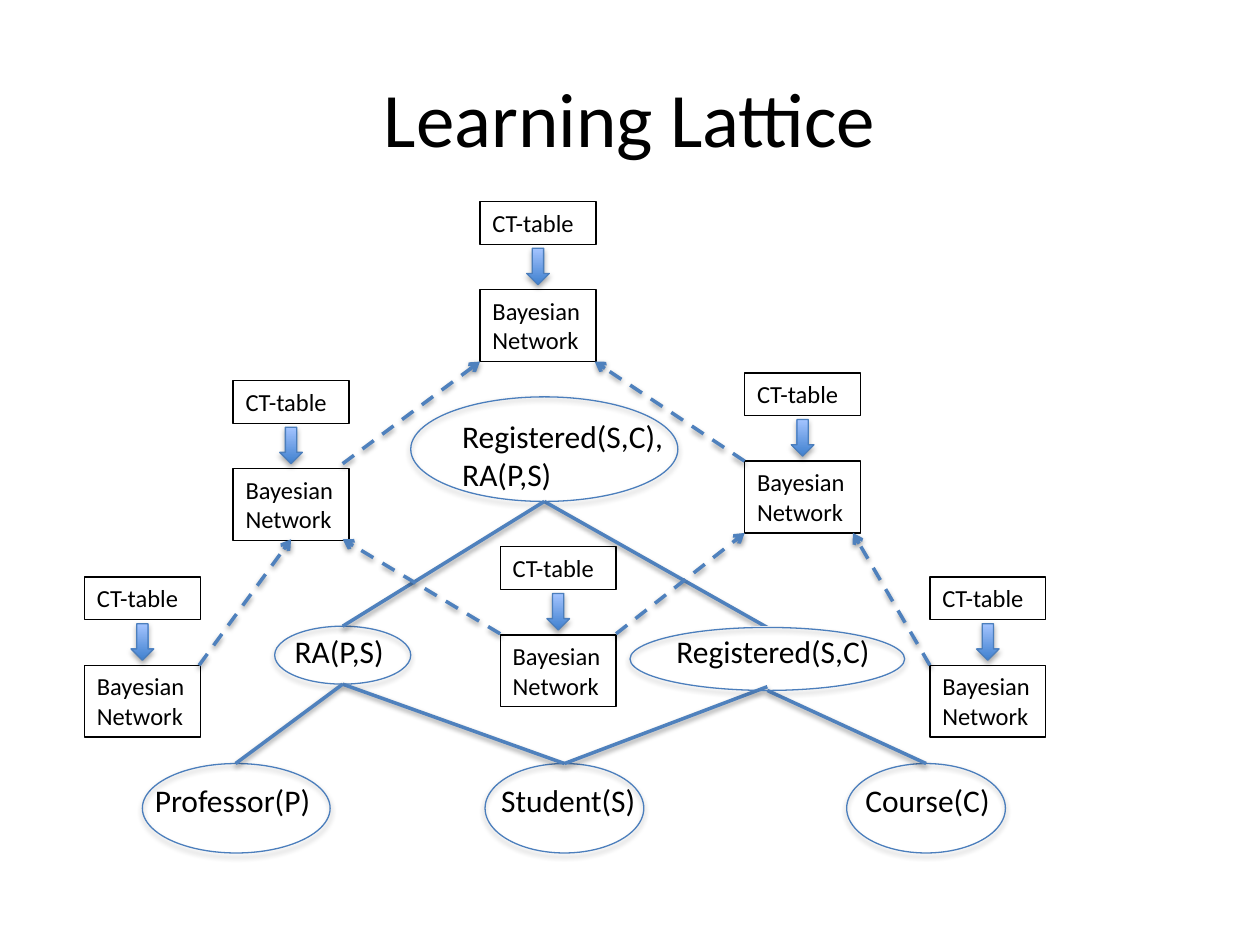
"""Draw the learning lattice of relations with its tables and networks."""
from typing import NamedTuple, Optional

from lxml.etree import SubElement
from pptx import Presentation
from pptx.dml.color import RGBColor
from pptx.enum.dml import MSO_LINE_DASH_STYLE as Dash
from pptx.enum.shapes import MSO_CONNECTOR_TYPE as Wire, MSO_SHAPE as Form
from pptx.enum.text import MSO_ANCHOR as Anchor, PP_ALIGN as Align
from pptx.oxml.ns import qn
from pptx.shapes.autoshape import Shape
from pptx.util import Inches, Pt

BLACK = RGBColor(0x00, 0x00, 0x00)
WHITE = RGBColor(0xFF, 0xFF, 0xFF)
EDGE = RGBColor(0x4B, 0x7E, 0xBC)
LINK = RGBColor(0x4F, 0x81, 0xBD)
DEEP = RGBColor(0x3F, 0x80, 0xCE)
PALE = RGBColor(0xA4, 0xC4, 0xFF)


class Area(NamedTuple):
    left: float
    top: float
    width: float
    height: float


class Node(NamedTuple):
    text: str
    label: Area
    oval: Area


class Stack(NamedTuple):
    left: float
    top: float


class Link(NamedTuple):
    x1: float
    y1: float
    x2: float
    y2: float


NODES = [
    Node("Student(S)", Area(3.88, 6.15, 1.26, 0.4), Area(3.85, 6.06, 1.26, 0.71)),
    Node("Course(C)", Area(6.77, 6.15, 1.26, 0.4), Area(6.72, 6.06, 1.26, 0.71)),
    Node("Professor(P)", Area(1.13, 6.15, 1.49, 0.4), Area(1.13, 6.06, 1.49, 0.71)),
    Node("RA(P,S)", Area(2.24, 4.97, 1.02, 0.4), Area(2.18, 4.97, 1.08, 0.46)),
    Node("Registered(S,C), RA(P,S)", Area(3.57, 3.26, 1.8, 0.72),
         Area(3.26, 3.15, 2.12, 0.83)),
]
PAIR = Node("Registered(S,C)", Area(5.27, 4.97, 1.91, 0.4), Area(5, 4.98, 2.18, 0.5))
STACKS = [Stack(5.91, 2.96), Stack(1.85, 3.02), Stack(3.81, 1.6),
          Stack(0.67, 4.58), Stack(3.97, 4.34), Stack(7.38, 4.58)]
SOLID = [Link(4.48, 6.06, 2.72, 5.43), Link(4.48, 6.06, 6.09, 5.45),
         Link(6.09, 4.98, 4.32, 3.98), Link(1.87, 6.06, 2.72, 5.43),
         Link(7.35, 6.06, 6.09, 5.48), Link(2.72, 4.97, 4.32, 3.98)]
DASHED = [Link(1.58, 5.28, 2.31, 4.28), Link(3.97, 5.03, 2.72, 4.28),
          Link(4.89, 5.03, 5.91, 4.23), Link(5.91, 3.66, 4.72, 2.87),
          Link(2.72, 3.68, 3.81, 2.87), Link(7.38, 5.28, 6.77, 4.23)]

deck = Presentation()
deck.slide_width, deck.slide_height = Inches(10), Inches(7.5)
slide = deck.slides.add_slide(deck.slide_layouts[6])


def shade(effects, dist: float, alpha: int) -> None:
    drop = SubElement(effects, qn("a:outerShdw"), blurRad=str(Pt(3.1)),
                      dist=str(Pt(dist)), dir="5400000", rotWithShape="0")
    tint = SubElement(drop, qn("a:srgbClr"), val="000000")
    SubElement(tint, qn("a:alpha"), val=str(alpha * 1000))


def draw(form: Form, area: Area, fill: Optional[RGBColor] = None,
         edge: Optional[RGBColor] = None, shadow: bool = False) -> Shape:
    shape = slide.shapes.add_shape(form, *map(Inches, area))
    shape.shadow.inherit = False
    if fill is None:
        shape.fill.background()
    else:
        shape.fill.solid()
        shape.fill.fore_color.rgb = fill
    if edge is None:
        shape.line.fill.background()
    else:
        shape.line.color.rgb = edge
        shape.line.width = Pt(0.75)
    if shadow:
        shade(shape._element.spPr.find(qn("a:effectLst")), 1.8, 35)
    return shape


def write(shape: Shape, text: str, size: int = 18, align: Align = Align.LEFT,
          anchor: Anchor = Anchor.TOP) -> None:
    frame = shape.text_frame
    frame.word_wrap = True
    frame.vertical_anchor = anchor
    frame.margin_right = Inches(0.1 if align == Align.CENTER else 0)
    para = frame.paragraphs[0]
    para.alignment = align
    run = para.add_run()
    run.text = text
    run.font.name, run.font.size = "Calibri", Pt(size)
    run.font.color.rgb = BLACK


def add_node(node: Node) -> None:
    write(draw(Form.RECTANGLE, node.label, fill=WHITE), node.text)
    draw(Form.OVAL, node.oval, edge=EDGE, shadow=True)


def add_stack(stack: Stack) -> None:
    left, top = stack
    for text, drop, height in (("CT-table", 0, 0.34), ("Bayesian Network", 0.7, 0.57)):
        box = draw(Form.RECTANGLE, Area(left, top + drop, 0.92, height), edge=BLACK)
        write(box, text, size=14)
    arrow = draw(Form.DOWN_ARROW, Area(left + 0.37, top + 0.37, 0.18, 0.29),
                 edge=EDGE, shadow=True)
    arrow.fill.gradient()
    arrow.fill.gradient_angle = 90
    for stop, color in zip(arrow.fill.gradient_stops, (DEEP, PALE)):
        stop.color.rgb = color


def add_link(link: Link, dashed: bool = False) -> None:
    wire = slide.shapes.add_connector(Wire.STRAIGHT, *map(Inches, link))
    wire.line.color.rgb = LINK
    wire.line.width = Pt(2)
    props = wire._element.spPr
    if dashed:
        wire.line.dash_style = Dash.DASH
        SubElement(props.find(qn("a:ln")), qn("a:tailEnd"), type="arrow")
    shade(SubElement(props, qn("a:effectLst")), 1.6, 38)


def main() -> None:
    for node in NODES:
        add_node(node)
    for link in SOLID:
        add_link(link)
    title = slide.shapes.add_textbox(*map(Inches, Area(0.5, 0.3, 9, 1.25)))
    write(title, "Learning Lattice", size=44, align=Align.CENTER, anchor=Anchor.MIDDLE)
    add_node(PAIR)
    for stack in STACKS:
        add_stack(stack)
    for link in DASHED:
        add_link(link, dashed=True)
    deck.save("out.pptx")


if __name__ == "__main__":
    main()
